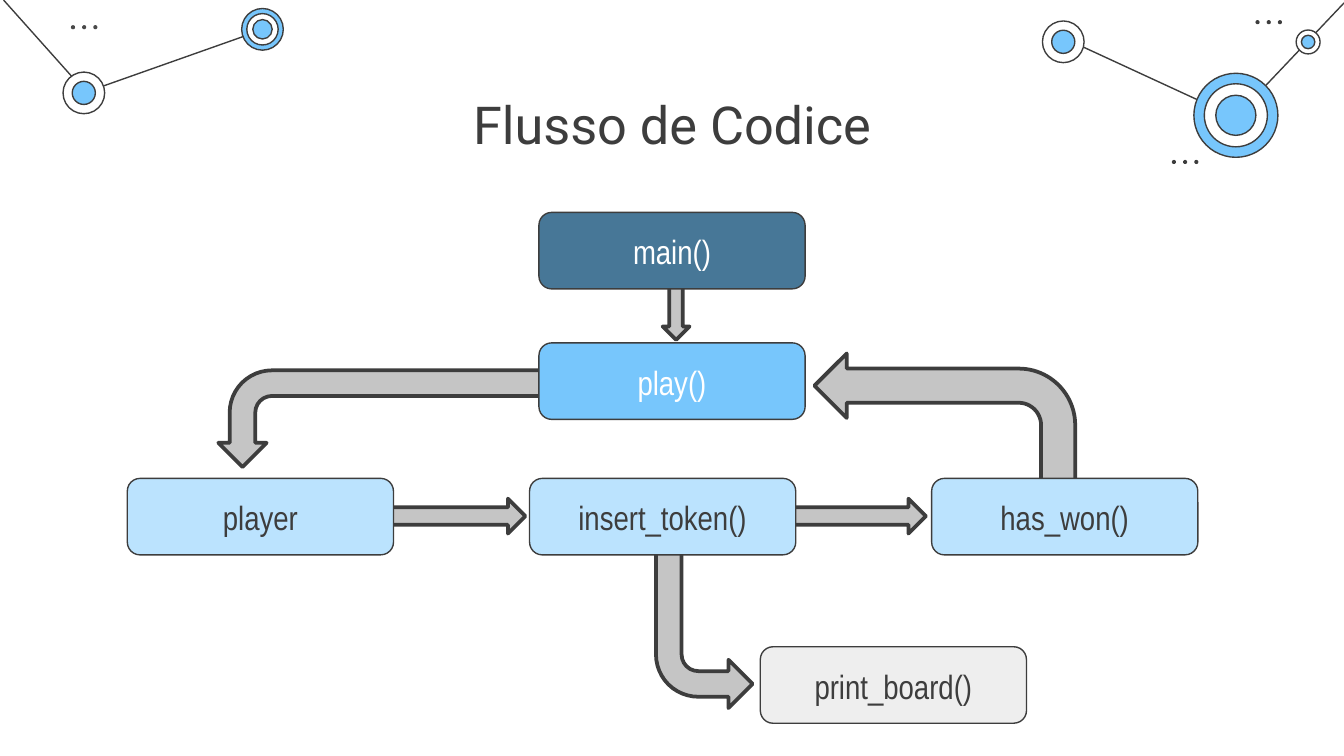
from dataclasses import dataclass

from lxml import etree
from pptx import Presentation
from pptx.dml.color import RGBColor
from pptx.enum.shapes import MSO_CONNECTOR, MSO_SHAPE
from pptx.enum.text import MSO_ANCHOR, PP_ALIGN
from pptx.oxml.ns import qn
from pptx.util import Pt

OVAL = MSO_SHAPE.OVAL
ROUNDED = MSO_SHAPE.ROUNDED_RECTANGLE
BENT = MSO_SHAPE.BENT_ARROW
DOWN = MSO_SHAPE.DOWN_ARROW
STRAIGHT = MSO_CONNECTOR.STRAIGHT
TOP = MSO_ANCHOR.TOP
BOTTOM = MSO_ANCHOR.BOTTOM
CENTER = PP_ALIGN.CENTER

COLOURS = {
    "ink": "3D3D3D",
    "dot": "494949",
    "white": "FFFFFF",
    "sky": "77C6FC",
    "pale": "BBE3FE",
    "steel": "477797",
    "mist": "EEEEEE",
    "grey": "C5C5C5",
}
NODE_SIZE = (142.6, 41)
NODE_ROW = 256.3
DOT_SIZE = 2.2
DOT_STEP = 6
THIN = 0.75
THICK = 2


@dataclass
class Link:
    start: tuple[float, float]
    end: tuple[float, float]


@dataclass
class Target:
    x: float
    y: float
    rings: list[tuple[float, str]]


@dataclass
class Dots:
    left: float
    top: float
    colour: str


@dataclass
class Arrow:
    kind: int
    frame: tuple[float, float, float, float]
    rotation: float = 0
    flipped: bool = False


@dataclass
class Node:
    text: str
    left: float
    top: float
    fill: str
    ink: str


LINKS = [
    Link((46, 49.4), (141, 15.8)),
    Link((1.9, 0), (46, 49.4)),
    Link((662.2, 63), (571, 20.9)),
    Link((720, 1.6), (662.2, 62.6)),
]
TARGETS = [
    Target(44.9, 49.8, [(22.3, "white"), (12.4, "sky")]),
    Target(140.6, 15.7, [(22.3, "sky"), (16.8, "white"), (10.4, "sky")]),
    Target(662.1, 61.8, [(45, "sky"), (33.8, "white"), (21.5, "sky")]),
    Target(569.6, 22.4, [(22.3, "white"), (12.4, "sky")]),
    Target(700.8, 22.5, [(12.8, "white"), (7.2, "sky")]),
]
DOT_ROWS = [
    Dots(38, 13.5, "dot"),
    Dots(672.6, 10.8, "ink"),
    Dots(627.8, 85.7, "ink"),
]
ARROWS = [
    Arrow(BENT, (351.4, 295.2, 51.8, 84.2), flipped=True),
    Arrow(BENT, (436.3, 189.4, 139.7, 69.1), 180, True),
    Arrow(BENT, (177.8, 137.5, 51.8, 173.5), 90, True),
    Arrow(DOWN, (450, 239.8, 18.7, 73.4), 270),
    Arrow(DOWN, (235.4, 239.8, 18.7, 73.4), 270),
    Arrow(DOWN, (355, 152.6, 14.4, 29.5)),
]
NODES = [
    Node("player", 68.2, NODE_ROW, "pale", "ink"),
    Node("insert_token()", 283.7, NODE_ROW, "pale", "ink"),
    Node("main()", 288.7, 113.8, "steel", "white"),
    Node("play()", 288.7, 183.7, "sky", "white"),
    Node("has_won()", 499.1, NODE_ROW, "pale", "ink"),
    Node("print_board()", 407.3, 346.5, "mist", "ink"),
]


def colour(name: str) -> RGBColor:
    return RGBColor.from_string(COLOURS[name])


def apply(item, values: dict) -> None:
    for name, value in values.items():
        setattr(item, name, value)


def add_shape(page, kind: int, frame: tuple, fill: str, width: float = 0):
    shape = page.shapes.add_shape(kind, *(Pt(value) for value in frame))
    shape.shadow.inherit = False
    shape.fill.solid()
    shape.fill.fore_color.rgb = colour(fill)
    if width:
        shape.line.color.rgb = colour("ink")
        shape.line.width = Pt(width)
        etree.SubElement(shape.element.spPr.find(qn("a:ln")), qn("a:round"))
    else:
        shape.line.fill.background()
    return shape


def write(box, text: str, font: str, size: float, ink: str, anchor: int) -> None:
    frame = box.text_frame
    inset = Pt(7.2)
    apply(frame, {
        "word_wrap": True,
        "vertical_anchor": anchor,
        "margin_left": inset,
        "margin_right": inset,
        "margin_top": inset,
        "margin_bottom": inset,
    })
    para = frame.paragraphs[0]
    para.alignment = CENTER
    span = para.add_run()
    span.text = text
    apply(span.font, {"name": font, "size": Pt(size)})
    span.font.color.rgb = colour(ink)


def draw_link(page, link: Link) -> None:
    points = (Pt(value) for value in (*link.start, *link.end))
    line = page.shapes.add_connector(STRAIGHT, *points)
    line.line.color.rgb = colour("ink")
    line.line.width = Pt(THIN)
    etree.SubElement(line.element.spPr, qn("a:effectLst"))


def draw_target(page, target: Target) -> None:
    for size, fill in target.rings:
        frame = (target.x - size / 2, target.y - size / 2, size, size)
        add_shape(page, OVAL, frame, fill, THIN)


def draw_dots(page, dots: Dots) -> None:
    for index in range(3):
        left = dots.left + index * DOT_STEP
        add_shape(page, OVAL, (left, dots.top, DOT_SIZE, DOT_SIZE), dots.colour)


def draw_arrow(page, arrow: Arrow) -> None:
    shape = add_shape(page, arrow.kind, arrow.frame, "grey", THICK)
    shape.rotation = arrow.rotation
    if arrow.kind == BENT:
        for index, value in enumerate((0.265, 0.25, 0.25, 0.438)):
            shape.adjustments[index] = value
    if arrow.flipped:
        shape.element.spPr.find(qn("a:xfrm")).set("flipV", "1")


def draw_node(page, node: Node) -> None:
    box = add_shape(page, ROUNDED, (node.left, node.top, *NODE_SIZE), node.fill, THIN)
    write(box, node.text, "Arial Narrow", 18, node.ink, BOTTOM)


def main() -> None:
    deck = Presentation()
    apply(deck, {"slide_width": Pt(720), "slide_height": Pt(405)})
    page = deck.slides.add_slide(deck.slide_layouts[6])
    for draw, items in (
        (draw_link, LINKS),
        (draw_target, TARGETS),
        (draw_dots, DOT_ROWS),
        (draw_arrow, ARROWS),
        (draw_node, NODES),
    ):
        for item in items:
            draw(page, item)
    title = page.shapes.add_textbox(Pt(56.7), Pt(42), Pt(606.6), Pt(45))
    write(title, "Flusso de Codice", "Roboto", 28, "ink", TOP)
    deck.save("out.pptx")


if __name__ == "__main__":
    main()
